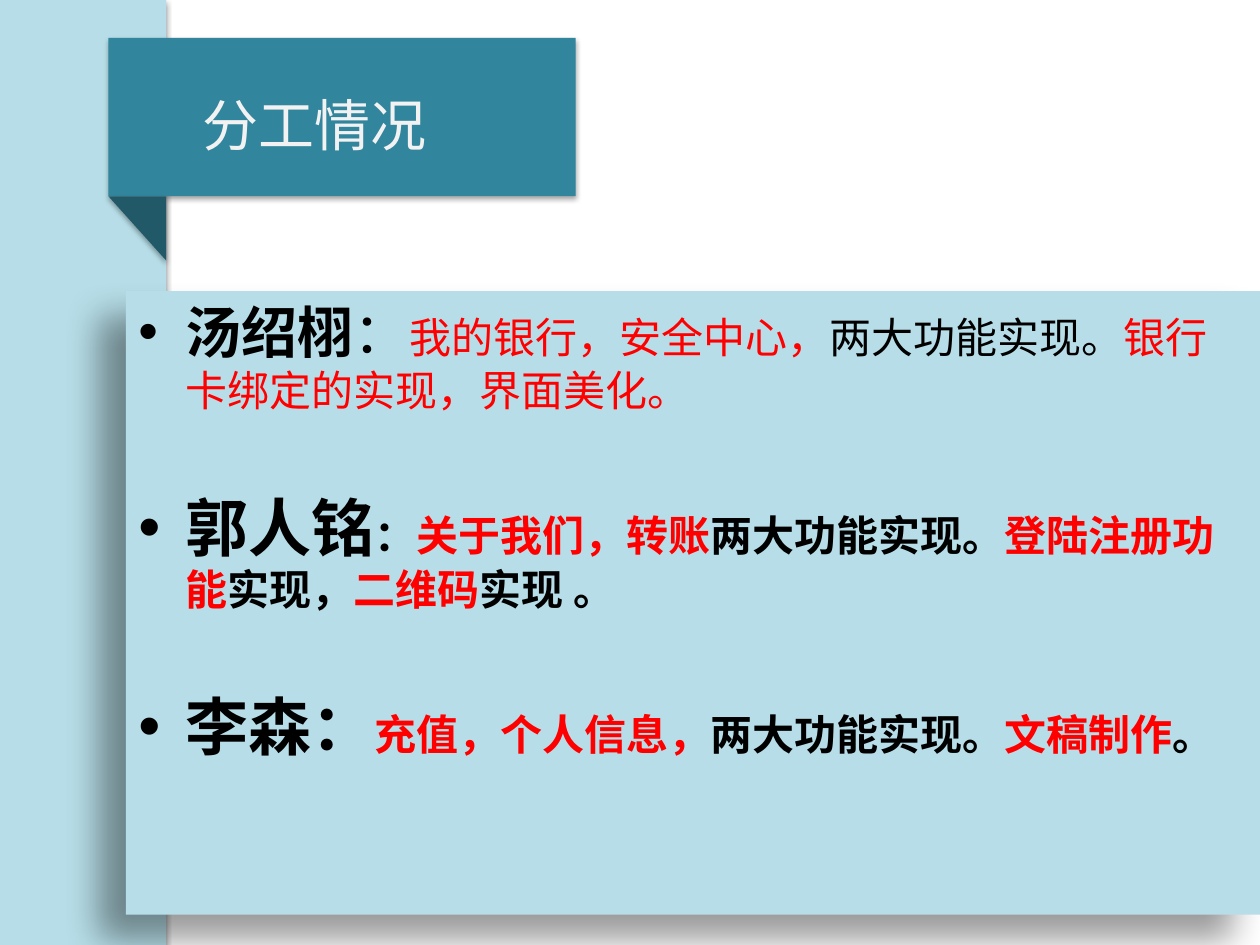
from lxml import etree
from pptx import Presentation
from pptx.dml.color import RGBColor
from pptx.enum.lang import MSO_LANGUAGE_ID
from pptx.enum.shapes import MSO_SHAPE
from pptx.enum.text import MSO_ANCHOR, PP_ALIGN
from pptx.oxml.ns import qn
from pptx.util import Pt

HUES = {"pale": "B7DEE8", "teal": "31859C", "deep": "215968",
        "red": "FF0000", "black": "000000", "white": "F2F2F2"}
SOFT = (35, 3.1, 1.8, 90)    # opacity %, blur, distance, angle
DEEP = (40, 20, 21, 135)

# Each run: text, size, colour, bold
DUTIES = [
    [("汤绍栩", 32, "black", True), ("：", 32, "black", False),
     ("我的银行，安全中心，", 24, "red", False),
     ("两大功能实现。", 24, "black", False),
     ("银行卡绑定的实现，界面美化。", 24, "red", False)],
    [("郭人铭", 36, "black", True), ("：", 24, "black", True),
     ("关于我们，转账", 24, "red", True),
     ("两大功能实现。", 24, "black", True),
     ("登陆注册功能", 24, "red", True), ("实现，", 24, "black", True),
     ("二维码", 24, "red", True), ("实现 。", 24, "black", True)],
    [("李森：", 36, "black", True), ("充值，个人信息，", 24, "red", True),
     ("两大功能实现。", 24, "black", True),
     ("文稿制作", 24, "red", True), ("。", 24, "black", True)],
]


def shade(shape, look):
    """Give a shape an outer shadow."""
    alpha, blur, dist, angle = look
    shape.shadow.inherit = False
    effects = shape._element.spPr.find(qn("a:effectLst"))
    outer = etree.SubElement(effects, qn("a:outerShdw"), blurRad=str(Pt(blur)),
                             dist=str(Pt(dist)), dir=str(angle * 60000),
                             algn="ctr", rotWithShape="0")
    color = etree.SubElement(outer, qn("a:srgbClr"), val=HUES["black"])
    etree.SubElement(color, qn("a:alpha"), val=str(alpha * 1000))


def block(slide, box, hue, look=SOFT, kind=MSO_SHAPE.RECTANGLE):
    shape = slide.shapes.add_shape(kind, *map(Pt, box))
    shape.fill.solid()
    shape.fill.fore_color.rgb = RGBColor.from_string(HUES[hue])
    shape.line.fill.background()
    shade(shape, look)
    return shape


def add_run(para, text, size, hue, bold=False):
    run = para.add_run()
    run.text = text
    font = run.font
    font.name, font.size, font.bold = "Calibri", Pt(size), bold
    font.language_id = MSO_LANGUAGE_ID.SIMPLIFIED_CHINESE
    font.color.rgb = RGBColor.from_string(HUES[hue])


def bullet(para, indent):
    props = para._p.get_or_add_pPr()
    props.set("marL", str(Pt(indent)))
    props.set("indent", str(-Pt(indent)))
    etree.SubElement(props, qn("a:buFont"), typeface="Arial")
    etree.SubElement(props, qn("a:buChar"), char="•")


def panel(slide, box):
    """Body panel with one bulleted paragraph per person."""
    shape = block(slide, box, "pale", DEEP)
    frame = shape.text_frame
    frame.word_wrap = True
    frame.vertical_anchor = MSO_ANCHOR.TOP
    for i, duty in enumerate(DUTIES):
        para = frame.paragraphs[0] if i == 0 else frame.add_paragraph()
        para.alignment = PP_ALIGN.LEFT
        para.space_before = Pt(42 if i else 6.4)
        bullet(para, 27)
        for part in duty:
            add_run(para, *part)


def ribbon(slide, box, text):
    """Title ribbon with its folded corner and heading."""
    x, y, w, h = box
    block(slide, box, "teal")
    fold = block(slide, (x, y + h, 33, 36.7), "deep", kind=MSO_SHAPE.RIGHT_TRIANGLE)
    fold.rotation = 180
    title = slide.shapes.add_textbox(*map(Pt, (x + 46.8, y + 26.6, 190.8, 46)))
    title.text_frame.word_wrap = True
    add_run(title.text_frame.paragraphs[0], text, 32, "white")


def build():
    deck = Presentation()
    deck.slide_width, deck.slide_height = Pt(720), Pt(540)
    slide = deck.slides.add_slide(deck.slide_layouts[6])
    block(slide, (0, 0, 95, 540), "pale")    # side band
    panel(slide, (72, 166.3, 648, 356.4))
    ribbon(slide, (62, 21.6, 267, 90.6), "分工情况")
    deck.save("out.pptx")


build()
